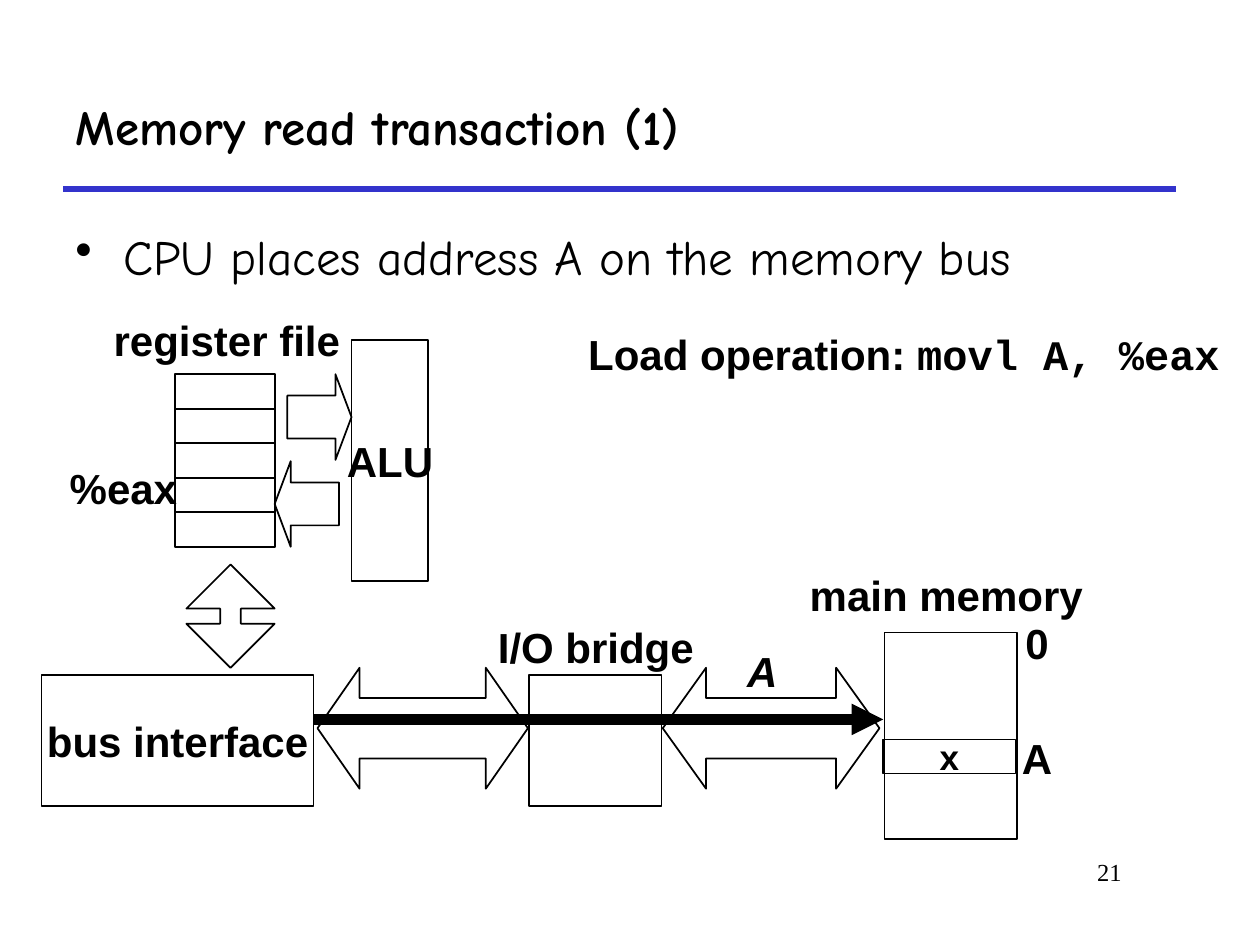
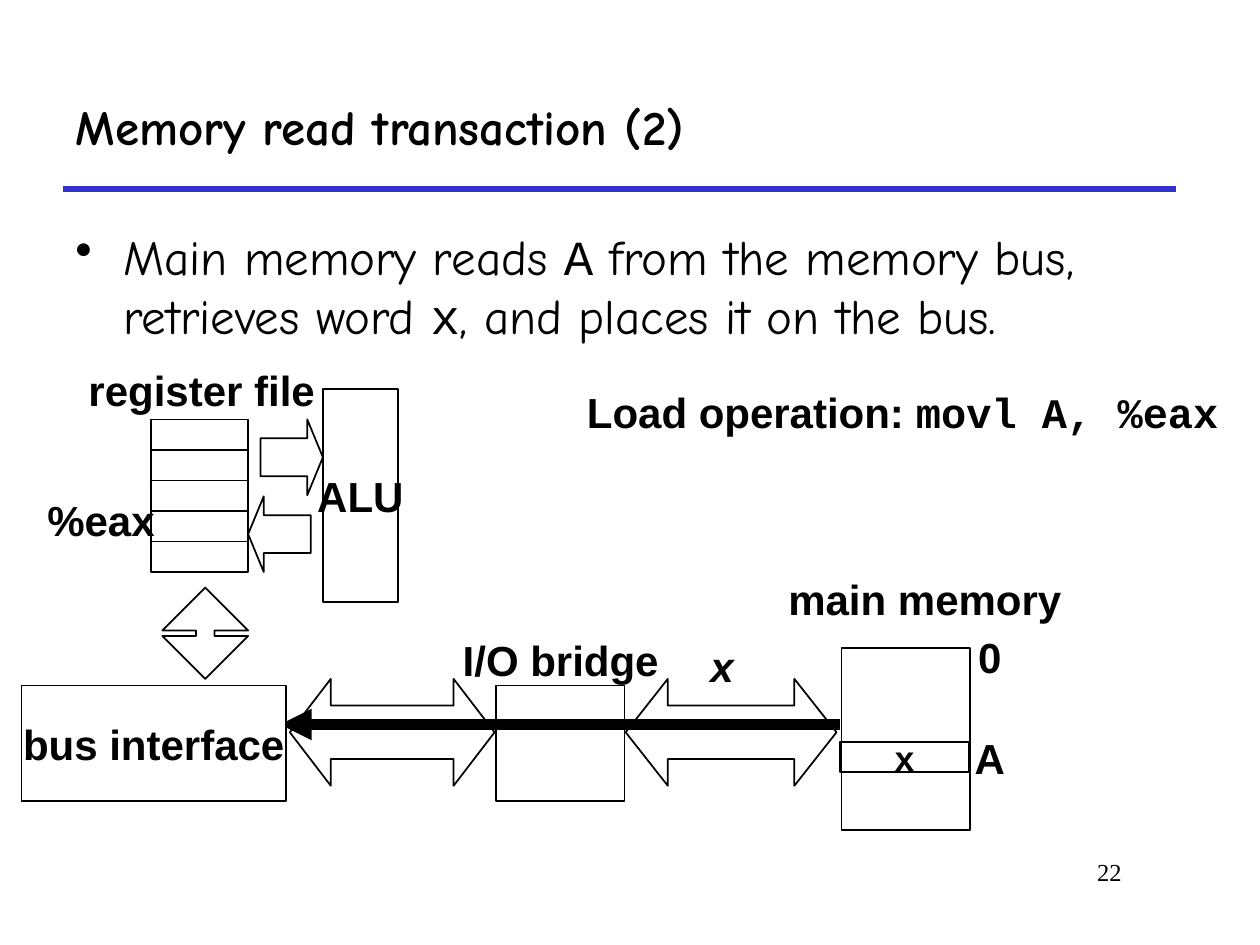
from lxml import etree
from pptx import Presentation
from pptx.dml.color import RGBColor
from pptx.enum.shapes import MSO_CONNECTOR, MSO_SHAPE
from pptx.enum.text import MSO_ANCHOR, MSO_AUTO_SIZE, PP_ALIGN
from pptx.oxml.ns import qn
from pptx.util import Inches, Pt

BLACK = RGBColor(0x00, 0x00, 0x00)
WHITE = RGBColor(0xFF, 0xFF, 0xFF)
RULE_BLUE = RGBColor(0x33, 0x33, 0xCC)

HAND, SANS, MONO, SERIF = "Comic Neue", "Arial", "Courier New", "Times New Roman"
LEFT, CENTER, RIGHT = PP_ALIGN.LEFT, PP_ALIGN.CENTER, PP_ALIGN.RIGHT
TOP, MIDDLE = MSO_ANCHOR.TOP, MSO_ANCHOR.MIDDLE
NO_RESIZE = MSO_AUTO_SIZE.NONE
STRAIGHT = MSO_CONNECTOR.STRAIGHT
RECTANGLE = MSO_SHAPE.RECTANGLE
RIGHT_ARROW, LEFT_ARROW = MSO_SHAPE.RIGHT_ARROW, MSO_SHAPE.LEFT_ARROW
ACROSS_ARROW, UPRIGHT_ARROW = MSO_SHAPE.LEFT_RIGHT_ARROW, MSO_SHAPE.UP_DOWN_ARROW

DIAGRAM_WIDTH, DIAGRAM_HEIGHT = 7.74, 3.96
LABEL_HEIGHT = 0.5
REGISTER_COUNT = 5


def write(frame, text, font=SANS, size=24, bold=False, italic=False,
          align=CENTER, anchor=MIDDLE, wrap=False, bullet=False):
    frame.auto_size = NO_RESIZE
    frame.word_wrap = wrap
    frame.vertical_anchor = anchor
    paragraph = frame.paragraphs[0]
    paragraph.alignment = align
    if bullet:
        properties = paragraph._p.get_or_add_pPr()
        properties.set("marL", str(Inches(0.38)))
        properties.set("indent", str(-Inches(0.38)))
        etree.SubElement(properties, qn("a:buChar")).set("char", "•")
    pieces = [(text, font)] if isinstance(text, str) else text
    for words, face in pieces:
        run = paragraph.add_run()
        run.text = words
        run.font.name = face
        run.font.size = Pt(size)
        run.font.bold = bold
        run.font.italic = italic
        run.font.color.rgb = BLACK


def add_text(slide, box, text, **style):
    area = slide.shapes.add_textbox(*map(Inches, box))
    write(area.text_frame, text, **style)


def add_label(slide, center, text, **style):
    width = 0.2 + 0.15 * len(text)
    x, y = center
    box = (x - width / 2, y - LABEL_HEIGHT / 2, width, LABEL_HEIGHT)
    add_text(slide, box, text, bold=True, **style)


def add_outline(slide, kind, box, text=None, fill=None, size=24):
    outline = slide.shapes.add_shape(kind, *map(Inches, box))
    outline.shadow.inherit = False
    if fill is None:
        outline.fill.background()
    else:
        outline.fill.solid()
        outline.fill.fore_color.rgb = fill
    outline.line.color.rgb = BLACK
    outline.line.width = Pt(1)
    if text:
        write(outline.text_frame, text, size=size, bold=True)
    return outline


def add_double_arrow(slide, kind, box):
    arrow = add_outline(slide, kind, box)
    length, breadth = max(box[2:]), min(box[2:])
    arrow.adjustments[0] = 0.5
    arrow.adjustments[1] = 0.2 * length / breadth


def add_arrow(slide, kind, box):
    arrow = add_outline(slide, kind, box)
    arrow.adjustments[0] = 0.5
    arrow.adjustments[1] = 0.25


def add_line(slide, start, end, color, width, arrow=False):
    line = slide.shapes.add_connector(STRAIGHT, *map(Inches, start + end))
    line.line.color.rgb = color
    line.line.width = Pt(width)
    if arrow:
        tip = etree.SubElement(line.line._get_or_add_ln(), qn("a:tailEnd"))
        tip.set("type", "triangle")
    etree.SubElement(line._element.spPr, qn("a:effectLst"))


def diagram_scale(box):
    left, top, width, height = box
    sx, sy = width / DIAGRAM_WIDTH, height / DIAGRAM_HEIGHT

    def point(x, y):
        return left + x * sx, top + y * sy

    def area(x, y, w, h):
        return point(x, y) + (w * sx, h * sy)

    return point, area


def draw_cpu(slide, box):
    point, area = diagram_scale(box)
    row_height = 1.37 / REGISTER_COUNT
    for row in range(REGISTER_COUNT):
        add_outline(slide, RECTANGLE,
                    area(1.06, 0.27 + row * row_height, 0.79, row_height))
    add_arrow(slide, RIGHT_ARROW, area(1.95, 0.27, 0.51, 0.68))
    add_arrow(slide, LEFT_ARROW, area(1.85, 0.96, 0.51, 0.68))
    add_outline(slide, RECTANGLE, area(2.46, 0, 0.61, 1.91), "ALU")
    add_double_arrow(slide, UPRIGHT_ARROW, area(1.15, 1.78, 0.7, 0.82))
    add_label(slide, point(1.47, 0), "register file")
    add_label(slide, point(0.65, 1.17), "%eax")


def draw_buses(slide, box, signal, signal_center, to_memory):
    point, area = diagram_scale(box)
    add_double_arrow(slide, ACROSS_ARROW, area(2.19, 2.6, 1.67, 0.96))
    add_outline(slide, RECTANGLE, area(3.87, 2.66, 1.05, 1.04))
    add_double_arrow(slide, ACROSS_ARROW, area(4.93, 2.6, 1.72, 0.96))
    ends = [point(2.11, 3.01), point(6.68, 3.01)]
    start, end = ends if to_memory else reversed(ends)
    add_line(slide, start, end, BLACK, 6, arrow=True)
    add_outline(slide, RECTANGLE, area(0, 2.66, 2.16, 1.04),
                "bus interface", fill=WHITE)
    add_label(slide, point(4.4, 2.43), "I/O bridge")
    add_label(slide, signal_center, signal, italic=True)


def draw_memory(slide, box, heading_center):
    point, area = diagram_scale(box)
    add_outline(slide, RECTANGLE, area(6.69, 2.32, 1.05, 1.64))
    add_outline(slide, RECTANGLE, area(6.68, 3.17, 1.05, 0.27), "x", size=20)
    add_label(slide, point(7.9, 2.4), "0")
    add_label(slide, point(7.9, 3.31), "A")
    add_label(slide, heading_center, "main memory")


def draw_frame(slide, title, number):
    add_line(slide, (0.5, 1.5), (9.33, 1.5), RULE_BLUE, 3)
    heading = slide.shapes.title
    heading.left, heading.top, heading.width, heading.height = map(
        Inches, (0.5, 0.5, 8.83, 1))
    write(heading.text_frame, title, font=HAND, size=28, bold=True,
          align=LEFT, wrap=True)
    add_text(slide, (7.58, 6.75, 1.42, 0.5), number, font=SERIF, size=14,
             align=RIGHT, anchor=TOP, wrap=True)


def build_transaction(deck, title, number, step, step_height, diagram, load_corner,
                      signal, signal_center, memory_center, to_memory):
    slide = deck.slides.add_slide(deck.slide_layouts[5])
    draw_frame(slide, title, number)
    add_text(slide, (0.5, 1.75, 9.08, step_height), step, font=HAND, size=28,
             align=LEFT, anchor=TOP, wrap=True, bullet=True)
    draw_cpu(slide, diagram)
    draw_buses(slide, diagram, signal, signal_center, to_memory)
    draw_memory(slide, diagram, memory_center)
    add_text(slide, load_corner + (5.2, 0.9),
             [("Load operation: ", SANS), ("movl A, %eax", MONO)],
             bold=True, align=LEFT, anchor=TOP)


def main():
    deck = Presentation()
    deck.slide_width, deck.slide_height = Inches(10), Inches(7.5)
    build_transaction(
        deck, "Memory read transaction (1)", "21",
        "CPU places address A on the memory bus", 0.58,
        diagram=(0.33, 2.7, 7.74, 3.96), load_corner=(4.57, 2.56),
        signal="A", signal_center=(6.05, 5.32), memory_center=(7.51, 4.72),
        to_memory=True)
    build_transaction(
        deck, "Memory read transaction (2)", "22",
        [("Main memory reads ", HAND), ("A", MONO),
         (" from the memory bus, retrieves word ", HAND), ("x", MONO),
         (", and places it on the bus.", HAND)], 1.08,
        diagram=(0.17, 3.09, 7.53, 3.5), load_corner=(4.56, 3.02),
        signal="x", signal_center=(5.73, 5.28), memory_center=(7.34, 4.75),
        to_memory=False)
    deck.save("out.pptx")


if __name__ == "__main__":
    main()
